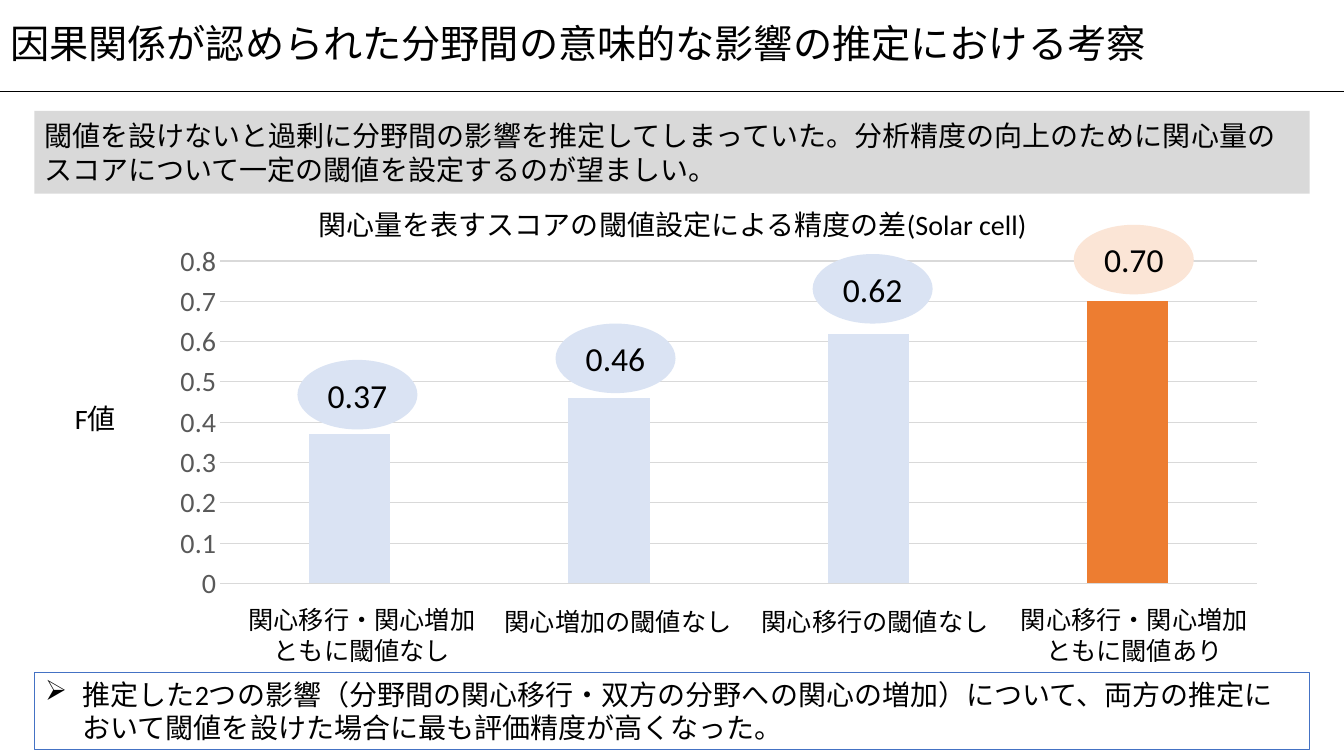
"""Build a slide comparing F scores with and without interest thresholds."""
from lxml import etree
from pptx import Presentation
from pptx.chart.data import CategoryChartData
from pptx.dml.color import RGBColor
from pptx.enum.chart import XL_CHART_TYPE, XL_TICK_MARK
from pptx.enum.shapes import MSO_CONNECTOR, MSO_SHAPE
from pptx.enum.text import MSO_ANCHOR, PP_ALIGN
from pptx.oxml import parse_xml
from pptx.oxml.ns import nsdecls, qn
from pptx.util import Inches, Pt

BLACK = RGBColor(0x00, 0x00, 0x00)
GRAY = RGBColor(0xD9, 0xD9, 0xD9)
SLATE = RGBColor(0x59, 0x59, 0x59)
BLUE = RGBColor(0x44, 0x72, 0xC4)
PALE = RGBColor(0xDA, 0xE3, 0xF3)
ORANGE = RGBColor(0xED, 0x7D, 0x31)
PEACH = RGBColor(0xFB, 0xE5, 0xD6)
LEFT, CENTER = PP_ALIGN.LEFT, PP_ALIGN.CENTER
TOP, MIDDLE = MSO_ANCHOR.TOP, MSO_ANCHOR.MIDDLE
RECT, OVAL = MSO_SHAPE.RECTANGLE, MSO_SHAPE.OVAL
COLUMN, NO_TICK = XL_CHART_TYPE.COLUMN_CLUSTERED, XL_TICK_MARK.NONE
STRAIGHT = MSO_CONNECTOR.STRAIGHT


def write(shape, text, size, align=CENTER, anchor=TOP):
    frame = shape.text_frame
    frame.word_wrap = True
    frame.vertical_anchor = anchor
    para = frame.paragraphs[0]
    para.text = text
    para.alignment = align
    para.font.name = "Calibri"
    para.font.size = Pt(size)
    para.font.color.rgb = BLACK
    return para


def draw(kind, box, fill=None):
    shape = slide.shapes.add_shape(kind, *map(Inches, box))
    shape.shadow.inherit = False
    shape.line.fill.background()
    if fill is None:
        shape.fill.background()
    else:
        shape.fill.solid()
        shape.fill.fore_color.rgb = fill
    return shape


deck = Presentation()
deck.slide_width, deck.slide_height = Inches(13.33), Inches(7.5)
slide = deck.slides.add_slide(deck.slide_layouts[5])

title = slide.shapes.title
title.left, title.top = Inches(0), Inches(0)
title.width, title.height = Inches(13.33), Inches(0.91)
head = write(title, "因果関係が認められた分野間の意味的な影響の推定における考察", 28, LEFT, MIDDLE)
head.line_spacing = 0.9

rule = slide.shapes.add_connector(STRAIGHT, Inches(0), Inches(0.91), Inches(13.33), Inches(0.91))
rule.line.color.rgb = BLACK
rule.line.width = Pt(1)
etree.SubElement(rule._element.spPr, qn("a:effectLst"))

claim = draw(RECT, (0.34, 1.1, 12.65, 0.82), GRAY)
write(claim, "閾値を設けないと過剰に分野間の影響を推定してしまっていた。分析精度の向上のために"
      "関心量のスコアについて一定の閾値を設定するのが望ましい。", 20, LEFT, MIDDLE)

scores = [0.37, 0.46, 0.62, 0.70]
data = CategoryChartData()
data.categories = ["1", "2", "3", "4"]
data.add_series("Series 1", scores)
chart = slide.shapes.add_chart(
    COLUMN, Inches(1.55), Inches(2.35), Inches(11.14), Inches(3.69), data).chart
chart.has_legend = False
chart.has_title = False
chart.font.name, chart.font.size = "Arial", Pt(10)
chart.font.color.rgb = BLACK
chart.category_axis.visible = False

scale = chart.value_axis
scale.minimum_scale, scale.maximum_scale, scale.major_unit = 0, 0.8, 0.1
scale.major_tick_mark = scale.minor_tick_mark = NO_TICK
scale.format.line.fill.background()
scale.major_gridlines.format.line.color.rgb = GRAY
scale.major_gridlines.format.line.width = Pt(0.75)
labels = scale.tick_labels
labels.number_format, labels.number_format_is_linked = "General", False
labels.font.name, labels.font.size = "Calibri", Pt(20)
labels.font.color.rgb = SLATE

plot = chart.plots[0]
plot.vary_by_categories = False
plot.gap_width, plot.overlap = 219, -27
bars = plot.series[0]
for part, color in ((bars, PALE), (bars.points[3], ORANGE)):
    part.format.fill.solid()
    part.format.fill.fore_color.rgb = color

area = chart._chartSpace.chart.plotArea
for old in area.findall(qn("c:layout")):
    area.remove(old)
area.insert(0, parse_xml(
    f'<c:layout {nsdecls("c")}><c:manualLayout><c:layoutTarget val="inner"/>'
    '<c:xMode val="edge"/><c:yMode val="edge"/><c:x val="0.057"/><c:y val="0.065"/>'
    '<c:w val="0.923"/><c:h val="0.867"/></c:manualLayout></c:layout>'))

notes = [
    ("関心量を表すスコアの閾値設定による精度の差(Solar cell)", 20, (0.85, 2.01, 11.64, 0.43)),
    ("F値", 20, (0.34, 3.93, 1.21, 0.43)),
    ("関心移行・関心増加ともに閾値なし", 18, (2.31, 5.95, 2.56, 0.7)),
    ("関心増加の閾値なし", 18, (4.85, 5.97, 2.56, 0.4)),
    ("関心移行の閾値なし", 18, (7.4, 5.97, 2.56, 0.4)),
    ("関心移行・関心増加ともに閾値あり", 18, (9.97, 5.95, 2.56, 0.7)),
]
for text, size, box in notes:
    write(slide.shapes.add_textbox(*map(Inches, box)), text, size)

spots = [(2.95, 3.57, PALE), (5.51, 3.21, PALE), (8.06, 2.52, PALE), (10.65, 2.23, PEACH)]
for score, (left, top, color) in zip(scores, spots):
    write(draw(OVAL, (left, top, 1.19, 0.69), color), f"{score:.2f}", 24, CENTER, MIDDLE)

result = draw(RECT, (0.34, 6.67, 12.65, 0.77))
result.line.color.rgb = BLUE
result.line.width = Pt(0.75)
point = write(result, "推定した2つの影響（分野間の関心移行・双方の分野への関心の増加）について、"
              "両方の推定において閾値を設けた場合に最も評価精度が高くなった。", 20, LEFT)
props = point._p.get_or_add_pPr()
props.set("marL", str(Inches(0.38)))
props.set("indent", str(Inches(-0.37)))
mark = etree.Element(qn("a:buChar"), char="➢")
props.insert(0, mark)

deck.save("out.pptx")
